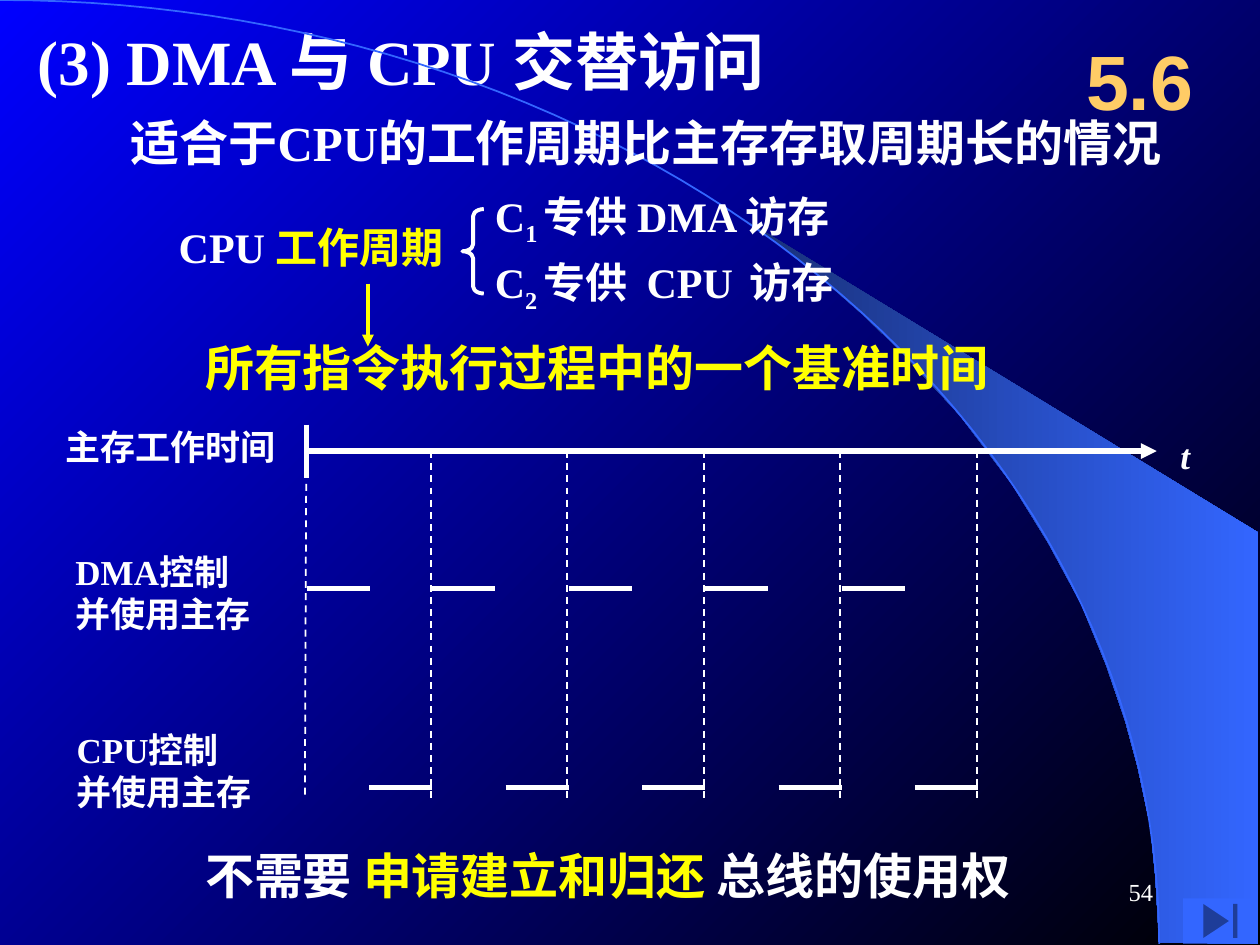
from math import cos, pi, sin

from lxml.etree import SubElement
from pptx import Presentation
from pptx.dml.color import RGBColor
from pptx.enum.dml import MSO_LINE
from pptx.enum.shapes import MSO_CONNECTOR, MSO_SHAPE
from pptx.enum.text import MSO_ANCHOR, MSO_AUTO_SIZE, PP_ALIGN
from pptx.oxml.ns import qn
from pptx.util import Inches, Pt

WHITE = RGBColor(0xFF, 0xFF, 0xFF)
YELLOW = RGBColor(0xFF, 0xFF, 0x00)
GOLD = RGBColor(0xFF, 0xCC, 0x66)
BLUE = RGBColor(0x33, 0x66, 0xFF)
NAVY = RGBColor(0x18, 0x2F, 0x76)
PURE = RGBColor(0x00, 0x00, 0xFF)
BLACK = RGBColor(0x00, 0x00, 0x00)
LEFT, MID, RIGHT = PP_ALIGN.LEFT, PP_ALIGN.CENTER, PP_ALIGN.RIGHT
TOP, CENTER = MSO_ANCHOR.TOP, MSO_ANCHOR.MIDDLE
GROW, FIXED = MSO_AUTO_SIZE.SHAPE_TO_FIT_TEXT, MSO_AUTO_SIZE.NONE
DASH = MSO_LINE.DASH
STRAIGHT = MSO_CONNECTOR.STRAIGHT
BRACE, BUTTON = MSO_SHAPE.LEFT_BRACE, MSO_SHAPE.ACTION_BUTTON_END

# The slide is a grid of square cells
COLS, ROWS = 100, 75
CELL = Inches(0.1)


def cells(*nums):
    return [round(n * CELL) for n in nums]


def write(para, text, size=20, color=WHITE, bold=True, italic=False,
          font="Times New Roman", base=0):
    run = para.add_run()
    run.text = text
    run.font.size = Pt(size)
    run.font.name = font
    run.font.bold = bold
    run.font.italic = italic
    run.font.color.rgb = color
    if base:
        run._r.get_or_add_rPr().set("baseline", str(base * 1000))


def blend(fill, first, last, angle):
    fill.gradient()
    fill.gradient_angle = angle
    for stop, color in zip(fill.gradient_stops, (first, last)):
        stop.color.rgb = color


class Board:
    def __init__(self, deck):
        self.slide = deck.slides.add_slide(deck.slide_layouts[5])
        self.shapes = self.slide.shapes

    def fill_text(self, shape, paras, align=LEFT, anchor=TOP, wrap=True,
                  size_mode=GROW, **style):
        """Each paragraph is a string or a list of (text, format) runs."""
        frame = shape.text_frame
        frame.word_wrap = wrap
        frame.auto_size = size_mode
        frame.vertical_anchor = anchor
        for i, runs in enumerate(paras):
            para = frame.add_paragraph() if i else frame.paragraphs[0]
            para.alignment = align
            for text, extra in [(runs, {})] if isinstance(runs, str) else runs:
                write(para, text, **{**style, **extra})

    def title(self, box, text, **style):
        shape = self.shapes.title
        shape.left, shape.top, shape.width, shape.height = cells(*box)
        self.fill_text(shape, [text], **style)

    def text(self, box, *paras, **style):
        self.fill_text(self.shapes.add_textbox(*cells(*box)), paras, **style)

    def line(self, x1, y1, x2, y2, width=3, color=WHITE, dash=None,
             arrow=False):
        link = self.shapes.add_connector(STRAIGHT, *cells(x1, y1, x2, y2))
        link.line.color.rgb = color
        link.line.width = Pt(width)
        if dash:
            link.line.dash_style = dash
        if arrow:
            SubElement(link.line._get_or_add_ln(), qn("a:tailEnd"),
                       type="triangle")
        SubElement(link._element.spPr, qn("a:effectLst"))

    def curve(self, points, close):
        start, *rest = [cells(*p) for p in points]
        pen = self.shapes.build_freeform(*start)
        pen.add_line_segments(rest, close=close)
        shape = pen.convert_to_shape()
        shape.shadow.inherit = False
        return shape

    def preset(self, kind, box):
        shape = self.shapes.add_shape(kind, *cells(*box))
        shape.shadow.inherit = False
        return shape


def main():
    deck = Presentation()
    deck.slide_width, deck.slide_height = cells(COLS, ROWS)
    board = Board(deck)

    # Background with swoosh and arc
    blend(board.slide.background.fill, PURE, BLACK, 315)
    swoosh = board.curve(
        [(92, 74.8), (99.9, 74.9), (99.9, 42.3), (58.9, 17.3), (62.4, 19.9),
         (65.3, 22.2), (68.5, 25), (71.6, 28), (76.2, 33), (80.3, 38.4),
         (83.2, 43.1), (85.8, 47.9), (87.8, 52.8), (89.3, 57.2),
         (90.3, 60.9), (91.3, 65.6), (91.7, 69.6)], True)
    blend(swoosh.fill, NAVY, BLUE, 0)
    swoosh.line.fill.background()
    steps = 60
    turns = [i * pi / 2 / steps for i in range(steps + 1)]
    arc = board.curve([(92 * sin(a), 74.9 * (1 - cos(a))) for a in turns],
                      False)
    arc.fill.background()
    arc.line.color.rgb = BLUE
    arc.line.width = Pt(1)

    # Headings
    board.title((2, 1.3, 69.2, 7), "(3) DMA 与 CPU 交替访问", size=36)
    board.text((84.2, 1.7, 12.5, 9.2), "5.6", size=44, color=GOLD,
               font="Arial", align=MID, anchor=CENTER, size_mode=FIXED)
    board.text((9.4, 8.4, 85.6, 5.7),
               "适合于CPU的工作周期比主存存取周期长的情况", size=28, wrap=False)

    # Split of the CPU cycle
    low, small, lit = {"base": -25}, {"size": 14}, {"color": YELLOW}
    board.text((13.2, 17.1, 25.2, 5), [("CPU ", {}), ("工作周期", lit)],
               size=24)
    board.text((38.3, 14.6, 44.2, 5.6),
               [("C", {}), ("1 ", low), ("专供 DMA 访存", {})], size=24)
    board.text((38.3, 19.9, 38.3, 5.6),
               [("C", {}), ("2 ", low), ("专供  CPU ", {}), (" ", small),
                ("访存", {})], size=24)
    brace = board.preset(BRACE, (36.7, 16.6, 1.7, 6.7))
    brace.adjustments[0] = 0.33
    brace.fill.background()
    brace.line.color.rgb = WHITE
    brace.line.width = Pt(2.25)
    board.line(29.2, 22.5, 29.2, 27.5, 2.25, YELLOW, arrow=True)
    board.text((15.3, 26.3, 76, 5.7), "所有指令执行过程中的一个基准时间",
               size=28, color=YELLOW)

    # Time axis
    zero, axis, half = 24.3, 35.8, 5
    board.text((4.2, 33.3, 18.7, 4.4), "主存工作时间", wrap=False)
    board.line(zero, 33.7, zero, 37.9)
    board.line(zero, axis, 91.8, axis, arrow=True)
    board.text((92.7, 34, 2.7, 4.4), "t", italic=True, wrap=False)

    # Cycle marks
    marks = [34.2 + 10.83 * i for i in range(5)]
    board.line(zero, 38.4, zero - 0.1, 63.2, 1, dash=DASH)
    for x in marks:
        board.line(x, axis, x, 63.4, 1, dash=DASH)

    # DMA opens each cycle and the CPU closes it
    for x, y, name in ((5, 43.2, "DMA"), (5.1, 57.3, "CPU")):
        board.text((x, y, 15.9, 7.7), name + "控制", "并使用主存",
                   wrap=False)
    for start, end in zip([zero] + marks, marks):
        board.line(start + 0.1, 46.7, start + 0.1 + half, 46.7)
        board.line(end + 0.1 - half, 62.5, end + 0.1, 62.5)

    # Conclusion, page number and button
    board.text((15.3, 66.6, 80.3, 5.7),
               [("不需要 ", {}), ("申请建立和归还 ", lit),
                ("总线的使用权", {})], size=28)
    board.text((71.7, 68.3, 20.8, 5), "54", size=14, bold=False, align=RIGHT,
               anchor=CENTER, size_mode=FIXED)
    button = board.preset(BUTTON, (93.9, 71.3, 5.9, 3.6))
    button.fill.solid()
    button.fill.fore_color.rgb = BLUE
    button.line.fill.background()

    deck.save("out.pptx")


if __name__ == "__main__":
    main()
